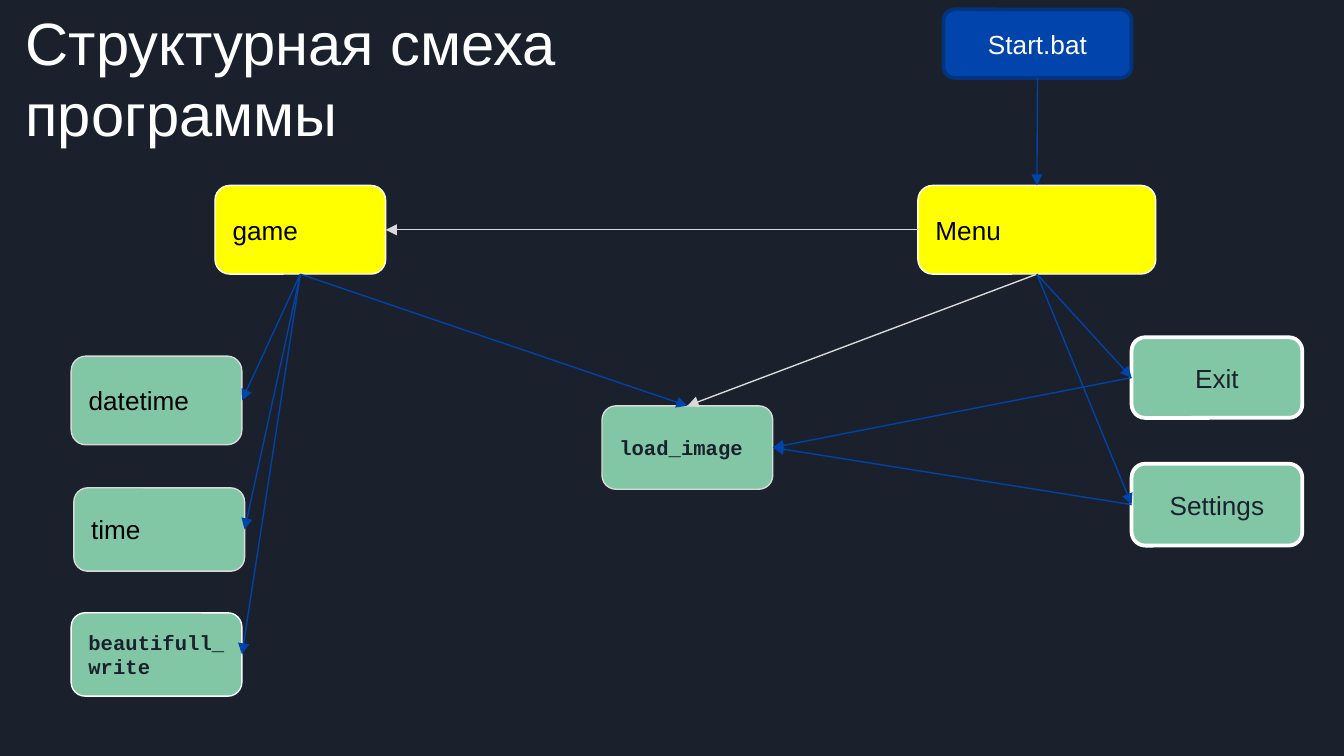
from dataclasses import dataclass

from pptx import Presentation
from pptx.dml.color import RGBColor
from pptx.enum.shapes import MSO_CONNECTOR, MSO_SHAPE
from pptx.enum.text import MSO_ANCHOR, MSO_AUTO_SIZE, PP_ALIGN
from pptx.oxml.ns import qn
from pptx.oxml.xmlchemy import OxmlElement
from pptx.shapes.autoshape import Shape
from pptx.slide import Slide
from pptx.text.text import TextFrame
from pptx.util import Inches, Pt


@dataclass(frozen=True)
class Theme:
    background: str = "1B212C"
    white: str = "FFFFFF"
    black: str = "000000"
    gray: str = "D9D9D9"
    yellow: str = "FFFF00"
    green: str = "82C7A5"
    blue: str = "0145AC"
    dark_blue: str = "01337F"
    arrow_blue: str = "0043A9"
    sans: str = "Arial"
    mono: str = "Courier New"
    title_size: float = 32
    label_size: float = 14
    code_size: float = 11
    thin: float = 0.75
    thick: float = 2


THEME = Theme()
SLIDE_WIDTH = Inches(10)
SLIDE_HEIGHT = SLIDE_WIDTH * 9 // 16
TOP, LEFT, BOTTOM, RIGHT = range(4)


@dataclass(frozen=True)
class BoxStyle:
    fill: str
    line: str
    text: str
    line_width: float = THEME.thin
    size: float = THEME.label_size
    font: str = THEME.sans
    bold: bool = False
    alignment: PP_ALIGN = PP_ALIGN.LEFT


@dataclass(frozen=True)
class Box:
    label: str
    left: float
    top: float
    width: float
    height: float
    style: BoxStyle


@dataclass(frozen=True)
class Arrow:
    source: str
    source_side: int
    target: str
    target_side: int
    color: str = THEME.arrow_blue


MAIN = BoxStyle(THEME.yellow, THEME.white, THEME.black)
MODULE = BoxStyle(THEME.green, THEME.gray, THEME.black)
CODE = {"text": THEME.background, "size": THEME.code_size, "font": THEME.mono, "bold": True}
WRITER = BoxStyle(THEME.green, THEME.white, **CODE)
LOADER = BoxStyle(THEME.green, THEME.gray, **CODE)
SCREEN = BoxStyle(THEME.green, THEME.white, THEME.background, THEME.thick,
                  alignment=PP_ALIGN.CENTER)
START = BoxStyle(THEME.blue, THEME.dark_blue, THEME.white, THEME.thick,
                 alignment=PP_ALIGN.CENTER)

BOXES = [
    Box("Menu", 6.83, 1.38, 1.77, 0.66, MAIN),
    Box("game", 1.6, 1.38, 1.27, 0.66, MAIN),
    Box("datetime", 0.53, 2.65, 1.27, 0.66, MODULE),
    Box("time", 0.55, 3.63, 1.27, 0.62, MODULE),
    Box("beautifull_write", 0.53, 4.56, 1.27, 0.62, WRITER),
    Box("load_image", 4.48, 3.02, 1.27, 0.62, LOADER),
    Box("Exit", 8.42, 2.51, 1.27, 0.6, SCREEN),
    Box("Settings", 8.42, 3.45, 1.27, 0.61, SCREEN),
    Box("Start.bat", 7.02, 0.07, 1.4, 0.51, START),
]

ARROWS = [
    Arrow("Menu", LEFT, "game", RIGHT, THEME.gray),
    Arrow("Menu", BOTTOM, "load_image", TOP, THEME.gray),
    *[Arrow("game", BOTTOM, module, RIGHT)
      for module in ("beautifull_write", "time", "datetime")],
    *[Arrow("Menu", BOTTOM, screen, LEFT) for screen in ("Exit", "Settings")],
    Arrow("game", BOTTOM, "load_image", TOP),
    *[Arrow(screen, LEFT, "load_image", RIGHT) for screen in ("Exit", "Settings")],
    Arrow("Start.bat", BOTTOM, "Menu", TOP),
]


def apply_format(target: object, values: dict) -> None:
    for name, value in values.items():
        setattr(target, name, value)


def write_text(frame: TextFrame, text: str, size: float, color: str, font: str,
               frame_format: dict, paragraph_format: dict, bold: bool = False) -> None:
    apply_format(frame, {"word_wrap": True, **frame_format})
    paragraph = frame.paragraphs[0]
    apply_format(paragraph, paragraph_format)
    run = paragraph.add_run()
    run.text = text
    apply_format(run.font, {"name": font, "size": Pt(size), "bold": bold})
    run.font.color.rgb = RGBColor.from_string(color)


def draw_title(slide: Slide, text: str) -> None:
    title = slide.shapes.title
    apply_format(title, {"left": Inches(0.09), "top": Inches(-0.01),
                         "width": Inches(6.42), "height": Inches(1.18)})
    write_text(title.text_frame, text, THEME.title_size, THEME.white, THEME.sans,
               {"vertical_anchor": MSO_ANCHOR.TOP, "auto_size": MSO_AUTO_SIZE.NONE},
               {"alignment": PP_ALIGN.LEFT, "line_spacing": 1.0})


def draw_box(slide: Slide, box: Box) -> Shape:
    style = box.style
    shape = slide.shapes.add_shape(
        MSO_SHAPE.ROUNDED_RECTANGLE,
        *[Inches(value) for value in (box.left, box.top, box.width, box.height)])
    shape.shadow.inherit = False
    shape.fill.solid()
    shape.fill.fore_color.rgb = RGBColor.from_string(style.fill)
    shape.line.color.rgb = RGBColor.from_string(style.line)
    shape.line.width = Pt(style.line_width)
    margins = ("margin_left", "margin_top", "margin_right", "margin_bottom")
    write_text(shape.text_frame, box.label, style.size, style.text, style.font,
               {"vertical_anchor": MSO_ANCHOR.MIDDLE, **dict.fromkeys(margins, Inches(0.1))},
               {"alignment": style.alignment}, style.bold)
    return shape


def draw_arrow(slide: Slide, arrow: Arrow, shapes: dict[str, Shape]) -> None:
    connector = slide.shapes.add_connector(MSO_CONNECTOR.STRAIGHT, 0, 0, 0, 0)
    connector.begin_connect(shapes[arrow.source], arrow.source_side)
    connector.end_connect(shapes[arrow.target], arrow.target_side)
    connector.line.color.rgb = RGBColor.from_string(arrow.color)
    connector.line.width = Pt(THEME.thin)
    properties = connector._element.spPr
    arrowhead = OxmlElement("a:tailEnd")
    arrowhead.set("type", "triangle")
    properties.find(qn("a:ln")).append(arrowhead)
    properties.append(OxmlElement("a:effectLst"))


def main() -> None:
    presentation = Presentation()
    apply_format(presentation, {"slide_width": SLIDE_WIDTH, "slide_height": SLIDE_HEIGHT})
    slide = presentation.slides.add_slide(presentation.slide_layouts[5])
    slide.background.fill.solid()
    slide.background.fill.fore_color.rgb = RGBColor.from_string(THEME.background)
    draw_title(slide, "Структурная смеха программы")
    shapes = {box.label: draw_box(slide, box) for box in BOXES}
    for arrow in ARROWS:
        draw_arrow(slide, arrow, shapes)
    presentation.save("out.pptx")


if __name__ == "__main__":
    main()
